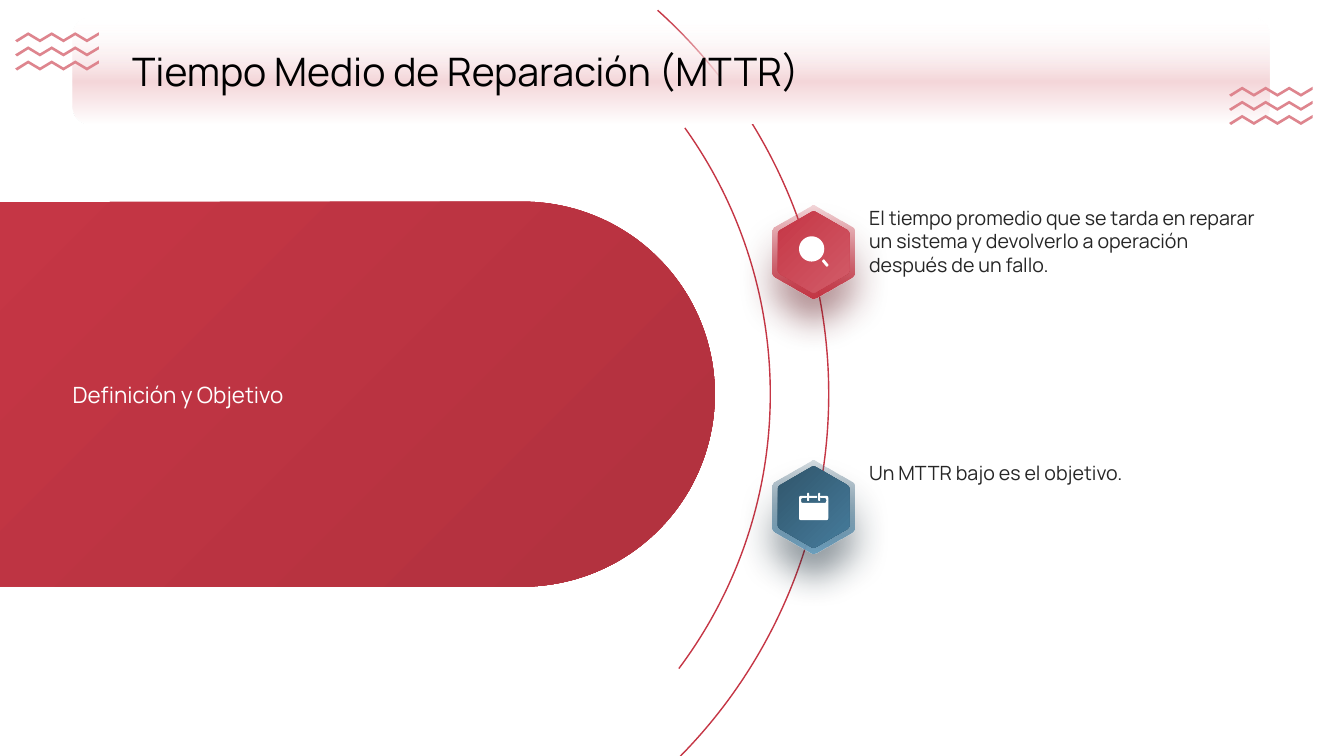
"""Build the slide that defines mean time to repair."""
from dataclasses import dataclass
from math import cos, dist, radians, sin

from pptx import Presentation
from pptx.dml.color import RGBColor
from pptx.enum.shapes import MSO_SHAPE as Preset
from pptx.enum.text import MSO_ANCHOR as Anchor, MSO_AUTO_SIZE as AutoSize, PP_ALIGN as Align
from pptx.oxml import parse_xml
from pptx.oxml.ns import nsdecls, qn
from pptx.util import Inches, Pt


@dataclass(frozen=True)
class Theme:
    font: str = "Manrope"
    title_size: int = 28
    heading_size: int = 16
    body_size: int = 14
    black: str = "000000"
    ink: str = "262626"
    white: str = "FFFFFF"
    red: str = "C53645"
    dark_red: str = "B1313E"
    blush: str = "F4D6D9"
    rose: str = "DE858E"


THEME = Theme()
TITLE = "Tiempo Medio de Reparación (MTTR)"
HEADING = "Definición y Objetivo"
POINTS = [
    {"text": "El tiempo promedio que se tarda en reparar un sistema y devolverlo a operación después de un fallo.",
     "height": 1.69, "icon": "magnifier", "base": THEME.red, "rim": "C83847", "face": "D25C69", "shadow": "621B22"},
    {"text": "Un MTTR bajo es el objetivo.",
     "height": 1.82, "icon": "calendar", "base": "30556B", "rim": "6C9FBD", "face": "467C9C", "shadow": "182A36"},
]

SLIDE_SIZE = (13.33, 7.5)
ARC_CENTRE = (3.1, 3.91)
ARCS = [(5.12, 311.95, 47.44), (4.54, 324.43, 36.85)]
PANEL = {"top": 2, "centre_x": 5.18, "radius": 1.91}
BANNER = (0.72, 0.17, 11.87, 1.06)
TITLE_BOX = (1.31, 0.38, 8.98, 0.65)
HEADING_BOX = (0.72, 2.58, 5.69, 2.66)
BADGE_X, TEXT_X, TEXT_WIDTH = 8.07, 8.62, 3.86
FIRST_ROW, ROW_PITCH, TEXT_RISE = 2.5, 2.53, 0.46
RIM_RADIUS, FACE_RADIUS, CORNER = 0.47, 0.41, 0.03
WAVES = [(0.15, 0.32), (12.19, 0.86)]
WAVE_ROWS, WAVE_PITCH, CREST_SPAN, CRESTS = 3, 0.14, 0.7, 6


def arc_points(centre, radius, start, end, steps):
    angles = [radians(start + (end - start) * step / steps) for step in range(steps + 1)]
    return [(centre[0] + radius * cos(angle), centre[1] + radius * sin(angle)) for angle in angles]


def rounded(corners, cut):
    points = []
    for index, corner in enumerate(corners):
        ends = []
        for neighbour in (corners[index - 1], corners[(index + 1) % len(corners)]):
            share = min(0.4, cut / dist(corner, neighbour))
            ends.append([a + (b - a) * share for a, b in zip(corner, neighbour)])
        for t in (0, 0.25, 0.5, 0.75, 1):
            points.append(tuple((1 - t) ** 2 * a + 2 * t * (1 - t) * c + t * t * b
                                for a, c, b in zip(ends[0], corner, ends[1])))
    return points


def rectangle(left, top, right, bottom):
    return [(left, top), (right, top), (right, bottom), (left, bottom)]


CALENDAR_BODY = [(-6.5, -11), (-6.5, -9), (-12.5, -9), (-12.5, -4), (12.5, -4), (12.5, -9),
                 (6.5, -9), (6.5, -11), (14.5, -11), (14.5, 13), (-14.5, 13), (-14.5, -11)]
ICONS = {
    "magnifier": [arc_points((-2, -3), 12.5, 0, 360, 48),
                  rounded([(8, 9), (10, 7), (15, 13), (13, 15)], 1)],
    "calendar": [rounded(CALENDAR_BODY, 2), rectangle(-4.5, -11, 3.5, -9),
                 rounded(rectangle(-6.5, -14, -4.5, -6), 1), rounded(rectangle(4.5, -14, 6.5, -6), 1)],
}


def apply(target, values):
    for name, value in values.items():
        setattr(target, name, value)


def paint(shape, color):
    shape.shadow.inherit = False
    shape.line.fill.background()
    shape.fill.solid()
    shape.fill.fore_color.rgb = RGBColor.from_string(color)


def paint_gradient(shape, stops, angle):
    paint(shape, THEME.white)
    marks = "".join(
        f'<a:gs pos="{position * 1000}"><a:srgbClr val="{color}"><a:alpha val="{opacity * 1000}"/></a:srgbClr></a:gs>'
        for position, color, opacity in stops)
    gradient = parse_xml(f'<a:gradFill {nsdecls("a")} rotWithShape="1"><a:gsLst>{marks}</a:gsLst>'
                         f'<a:lin ang="{angle * 60000}" scaled="0"/></a:gradFill>')
    properties = shape._element.spPr
    properties.replace(properties.find(qn("a:solidFill")), gradient)


def cast_shadow(shape, color):
    shape._element.spPr.find(qn("a:effectLst")).append(parse_xml(
        f'<a:outerShdw {nsdecls("a")} blurRad="{Pt(26)}" dist="{Pt(16)}" dir="5400000" algn="t" rotWithShape="0">'
        f'<a:srgbClr val="{color}"><a:alpha val="65000"/></a:srgbClr></a:outerShdw>'))


def add_outline(shapes, contours):
    scaled = [[(Inches(x), Inches(y)) for x, y in contour] for contour in contours]
    builder = shapes.build_freeform(*scaled[0][0], scale=1)
    for index, contour in enumerate(scaled):
        if index:
            builder.move_to(*contour[0])
        builder.add_line_segments(contour[1:], close=True)
    return builder.convert_to_shape()


def write(shape, text, size, color, anchor):
    frame = shape.text_frame
    apply(frame, {"text": text, "word_wrap": True, "auto_size": AutoSize.NONE, "vertical_anchor": anchor,
                  "margin_left": 0, "margin_top": 0, "margin_right": 0, "margin_bottom": 0})
    frame.paragraphs[0].alignment = Align.LEFT
    font = frame.paragraphs[0].runs[0].font
    apply(font, {"name": THEME.font, "size": Pt(size)})
    font.color.rgb = RGBColor.from_string(color)


def add_text(shapes, box, *style):
    write(shapes.add_textbox(*map(Inches, box)), *style)


def add_arcs(shapes):
    for radius, start, end in ARCS:
        box = [ARC_CENTRE[0] - radius, ARC_CENTRE[1] - radius, 2 * radius, 2 * radius]
        shape = shapes.add_shape(Preset.ARC, *map(Inches, box))
        shape.adjustments[0], shape.adjustments[1] = start * 0.6, end * 0.6
        shape.shadow.inherit = False
        shape.fill.background()
        shape.line.color.rgb = RGBColor.from_string(THEME.red)
        shape.line.width = Pt(1)


def add_panel(shapes):
    top, radius = PANEL["top"], PANEL["radius"]
    curve = arc_points((PANEL["centre_x"], top + radius), radius, -90, 90, 90)
    shape = add_outline(shapes, [[(0, top), *curve, (0, top + 2 * radius)]])
    paint_gradient(shape, [(0, THEME.red, 100), (100, THEME.dark_red, 100)], 45)


def add_badge(shapes, point, centre):
    layers = [(RIM_RADIUS, point["rim"], 20, 90), (FACE_RADIUS, point["face"], 100, 45)]
    for radius, end_color, opacity, angle in layers:
        hexagon = arc_points(centre, radius, -90, 210, 5)
        shape = add_outline(shapes, [rounded(hexagon, CORNER)])
        paint_gradient(shape, [(0, point["base"], opacity), (100, end_color, 100)], angle)
        if radius == RIM_RADIUS:
            cast_shadow(shape, point["shadow"])
    icon = [[(centre[0] + x / 100, centre[1] + y / 100) for x, y in contour] for contour in ICONS[point["icon"]]]
    paint(add_outline(shapes, icon), THEME.white)


def add_waves(shapes, left, top):
    contours = []
    for row in range(WAVE_ROWS):
        y = top + row * WAVE_PITCH
        crest = [(left + 0.13 + CREST_SPAN * i / CRESTS, y + 0.07 * (i % 2)) for i in range(CRESTS + 1)]
        under = [(x, edge + 0.03) for x, edge in reversed(crest)]
        contours.append([*crest, *under, (left + 0.02, y + 0.1), (left, y + 0.08)])
    paint(add_outline(shapes, contours), THEME.rose)


def main():
    presentation = Presentation()
    apply(presentation, dict(zip(("slide_width", "slide_height"), map(Inches, SLIDE_SIZE))))
    slide = presentation.slides.add_slide(presentation.slide_layouts[5])
    shapes = slide.shapes
    title = shapes.title
    add_arcs(shapes)
    add_panel(shapes)
    for row, point in enumerate(POINTS):
        y = FIRST_ROW + row * ROW_PITCH
        add_badge(shapes, point, (BADGE_X, y))
        add_text(shapes, (TEXT_X, y - TEXT_RISE, TEXT_WIDTH, point["height"]),
                 point["text"], THEME.body_size, THEME.ink, Anchor.TOP)
    add_text(shapes, HEADING_BOX, HEADING, THEME.heading_size, THEME.white, Anchor.MIDDLE)
    banner = shapes.add_shape(Preset.ROUNDED_RECTANGLE, *map(Inches, BANNER))
    banner.rotation = 180
    paint_gradient(banner, [(0, THEME.white, 0), (60, THEME.blush, 100), (100, THEME.white, 100)], 270)
    for corner in WAVES:
        add_waves(shapes, *corner)
    apply(title, dict(zip(("left", "top", "width", "height"), map(Inches, TITLE_BOX))))
    write(title, TITLE, THEME.title_size, THEME.black, Anchor.MIDDLE)
    shapes._spTree.append(title._element)
    presentation.save("out.pptx")


if __name__ == "__main__":
    main()
